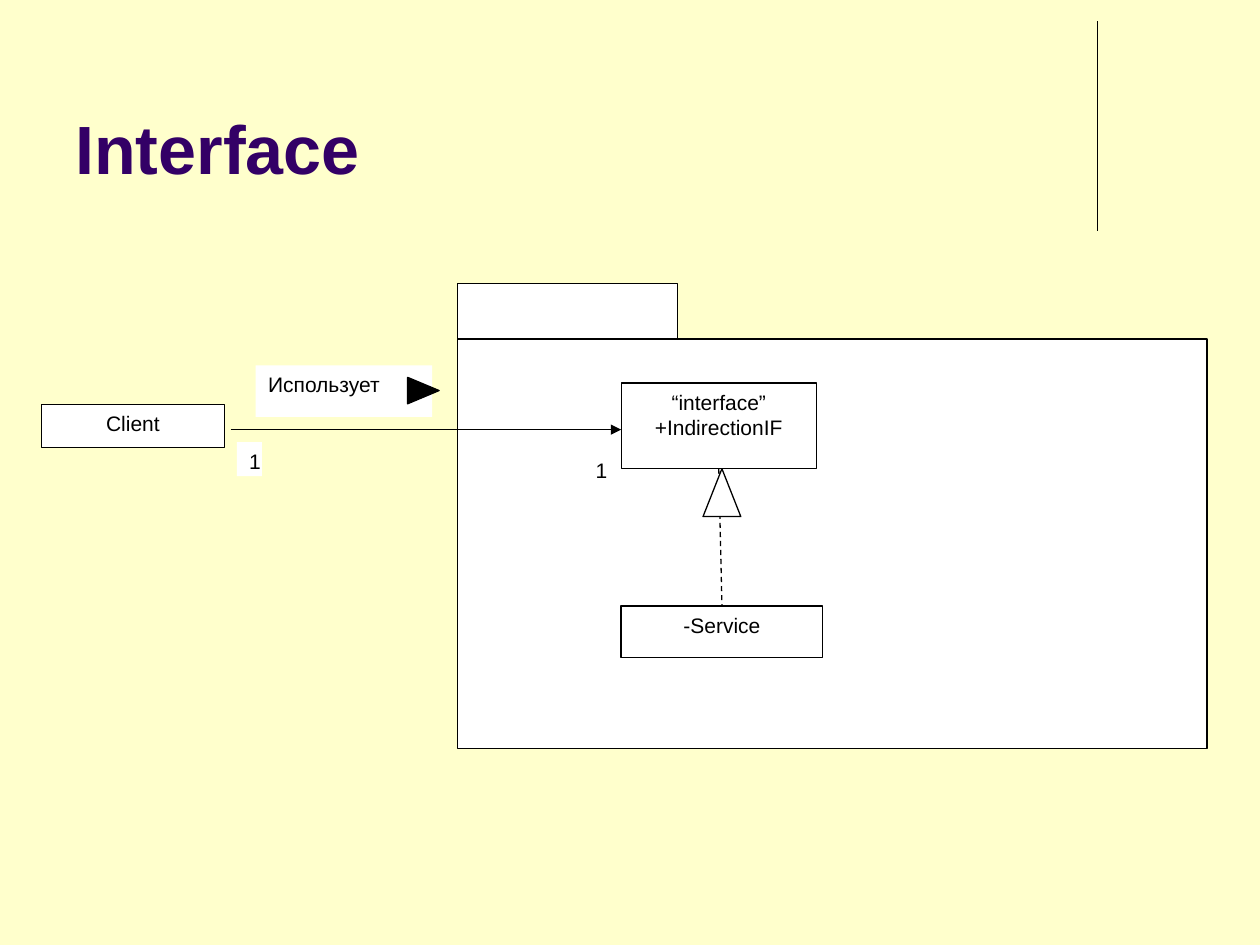
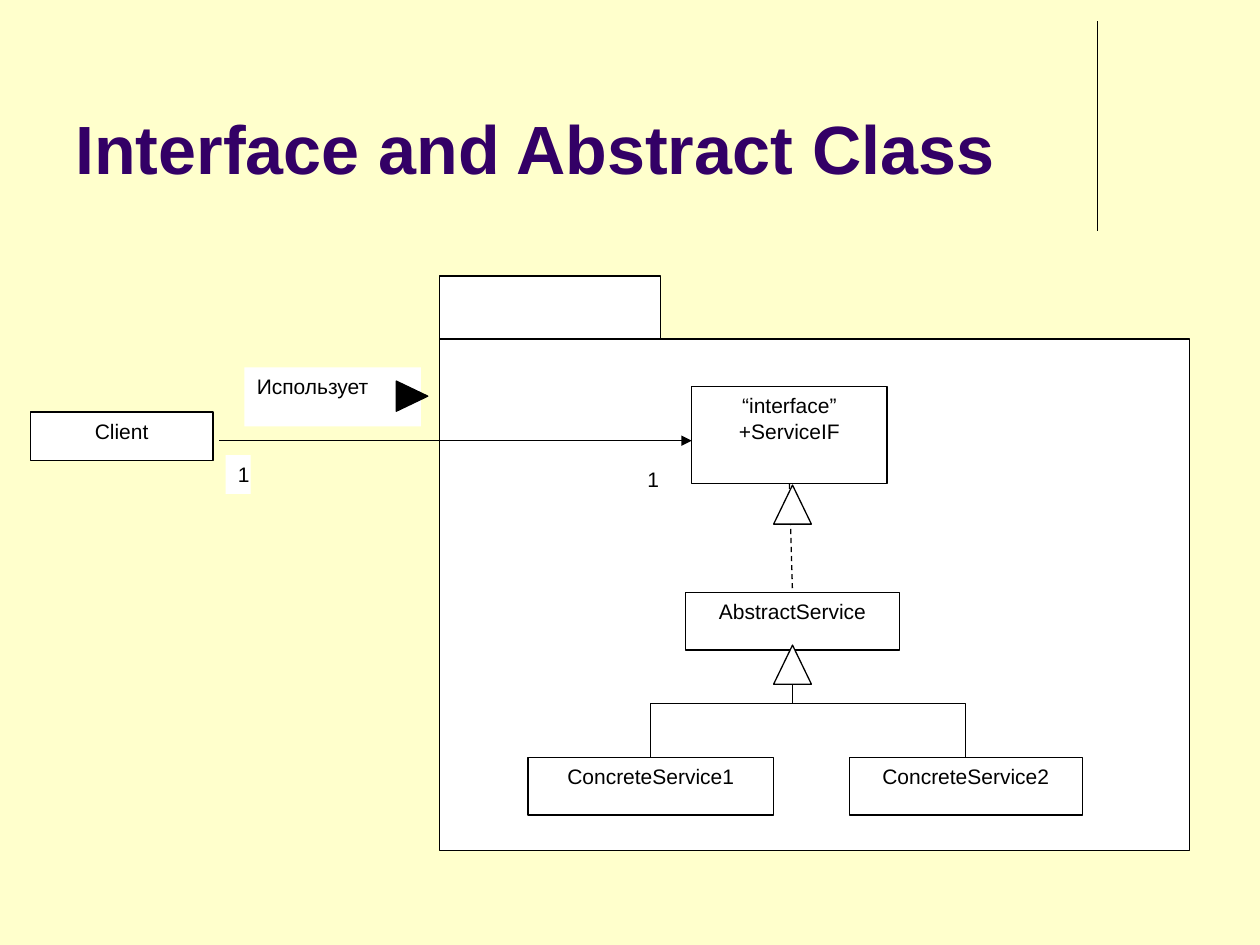
from collections import namedtuple

from lxml import etree
from pptx import Presentation
from pptx.dml.color import RGBColor
from pptx.enum.dml import MSO_LINE
from pptx.enum.shapes import MSO_CONNECTOR, MSO_SHAPE
from pptx.enum.text import MSO_ANCHOR, PP_ALIGN
from pptx.oxml.ns import qn
from pptx.util import Inches, Pt

RECTANGLE = MSO_SHAPE.RECTANGLE
TRIANGLE = MSO_SHAPE.FLOWCHART_EXTRACT
STRAIGHT, ELBOW = MSO_CONNECTOR.STRAIGHT, MSO_CONNECTOR.ELBOW
DASH = MSO_LINE.DASH
TOP, BOTTOM = MSO_ANCHOR.TOP, MSO_ANCHOR.BOTTOM
LEFT, CENTER = PP_ALIGN.LEFT, PP_ALIGN.CENTER
SIDE_TOP, SIDE_BOTTOM = 0, 2

COLORS = {"background": "FFFFCC", "title": "330066", "ink": "000000", "paper": "FFFFFF"}
FONT = "Arial"
LINE_WIDTH = Pt(0.75)
ARROW_WIDTH = 0.3

Box = namedtuple("Box", "left top width height")


def color(name):
    return RGBColor.from_string(COLORS[name])


def write(shape, lines, size=12, ink="ink", bold=False, align=LEFT, anchor=TOP):
    frame = shape.text_frame
    frame.word_wrap = True
    frame.vertical_anchor = anchor
    for index, line in enumerate(lines):
        paragraph = frame.add_paragraph() if index else frame.paragraphs[0]
        paragraph.text = line
        paragraph.alignment = align
        paragraph.font.name = FONT
        paragraph.font.size = Pt(size)
        paragraph.font.bold = bold
        paragraph.font.color.rgb = color(ink)


def add_figure(slide, kind, box, fill="paper", outlined=True):
    shape = slide.shapes.add_shape(kind, *map(Inches, box))
    shape.shadow.inherit = False
    shape.fill.solid()
    shape.fill.fore_color.rgb = color(fill)
    if outlined:
        shape.line.color.rgb = color("ink")
        shape.line.width = LINE_WIDTH
    else:
        shape.line.fill.background()
    return shape


def add_class(slide, box, *lines):
    shape = add_figure(slide, RECTANGLE, box)
    write(shape, lines, align=CENTER)
    return shape


def add_label(slide, box, text):
    label = add_figure(slide, RECTANGLE, box, outlined=False)
    label.text_frame.margin_right = 0
    write(label, [text])


def add_line(slide, start, end, kind=STRAIGHT):
    connector = slide.shapes.add_connector(kind, *map(Inches, start + end))
    connector.line.color.rgb = color("ink")
    connector.line.width = LINE_WIDTH
    etree.SubElement(connector._element.spPr, qn("a:effectLst"))
    return connector


def add_arrow(slide, start, end):
    connector = add_line(slide, start, end)
    etree.SubElement(connector.line._get_or_add_ln(), qn("a:tailEnd"), type="triangle")


def add_hollow_arrowhead(slide, tip_x, tip_y, height):
    box = Box(tip_x - ARROW_WIDTH / 2, tip_y, ARROW_WIDTH, height)
    add_figure(slide, TRIANGLE, box)


def add_realization(slide, interface, implementation, tip, head_height):
    """Join two class shapes with a dashed line and a hollow arrowhead."""
    connector = add_line(slide, (0, 0), (0, 0))
    connector.begin_connect(interface, SIDE_BOTTOM)
    connector.end_connect(implementation, SIDE_TOP)
    connector.line.dash_style = DASH
    add_hollow_arrowhead(slide, *tip, head_height)


def add_riser(slide, child, parent):
    """Draw an elbow up from the top of child to the bottom middle of parent."""
    start_x, end_x = (box.left + box.width / 2 for box in (child, parent))
    start_y, end_y = child.top, parent.top + parent.height
    middle_x, middle_y = (start_x + end_x) / 2, (start_y + end_y) / 2
    half_rise, offset = (start_y - end_y) / 2, start_x - middle_x
    # The elbow is laid out horizontally, then turned a quarter about its middle.
    connector = add_line(slide, (middle_x + half_rise, middle_y - offset),
                         (middle_x - half_rise, middle_y + offset), ELBOW)
    connector._element.spPr.find(qn("a:xfrm")).set("rot", str(90 * 60000))


def add_package(slide, box, tab_height):
    add_figure(slide, RECTANGLE, box)
    add_figure(slide, RECTANGLE, Box(box.left, box.top - tab_height, 1.75, tab_height))


def add_client(slide, left, top, target_x, target_label, stretch=1.0):
    """Draw the client and its association; stretch scales the vertical lengths."""
    def place(x, y, width, height):
        return Box(left + x, top + y * stretch, width, height * stretch)

    add_class(slide, place(0, 0, 1.45, 0.34), "Client")
    line_y = top + 0.2 * stretch
    add_arrow(slide, (left + 1.5, line_y), (target_x, line_y))
    add_label(slide, place(1.55, 0.3, 0.2, 0.27), "1")
    add_label(slide, Box(*target_label, 0.2, 0.27 * stretch), "1")
    add_label(slide, place(1.7, -0.31, 1.4, 0.41), "Использует")
    marker_width, marker_height = 0.21 * stretch, 0.25
    marker = add_figure(slide, TRIANGLE, Box(
        left + 3.03 - marker_width / 2, top - 0.11 * stretch - marker_height / 2,
        marker_width, marker_height), fill="ink")
    marker.rotation = 90


def add_titled_slide(presentation, title):
    slide = presentation.slides.add_slide(presentation.slide_layouts[6])
    slide.background.fill.solid()
    slide.background.fill.fore_color.rgb = color("background")
    add_line(slide, (8.71, 0.17), (8.71, 1.83))
    title_box = slide.shapes.add_textbox(*map(Inches, (0.5, 0.13, 8.25, 1.41)))
    write(title_box, [title], size=39, ink="title", bold=True, anchor=BOTTOM)
    return slide


def build_interface_slide(presentation):
    slide = add_titled_slide(presentation, "Interface")
    add_package(slide, Box(3.63, 2.69, 5.95, 3.25), 0.44)
    interface = add_class(slide, Box(4.93, 3.04, 1.55, 0.68),
                          "“interface”", "+IndirectionIF")
    service = add_class(slide, Box(4.93, 4.81, 1.6, 0.41), "-Service")
    add_realization(slide, interface, service, (5.73, 3.72), 0.38)
    add_client(slide, 0.33, 3.21, target_x=4.93, target_label=(4.63, 3.58))


def build_abstract_class_slide(presentation):
    slide = add_titled_slide(presentation, "Interface and Abstract Class")
    add_package(slide, Box(3.49, 2.69, 5.95, 4.06), 0.5)
    interface = add_class(slide, Box(5.49, 3.07, 1.55, 0.77),
                          "“interface”", "+ServiceIF")
    abstract_box = Box(5.44, 4.7, 1.7, 0.46)
    abstract_service = add_class(slide, abstract_box, "AbstractService")
    add_realization(slide, interface, abstract_service, (6.29, 3.85), 0.31)
    add_client(slide, 0.24, 3.27, target_x=5.49, target_label=(5.04, 3.65), stretch=1.14)
    for number, (left, width) in enumerate([(4.19, 1.95), (6.74, 1.85)], start=1):
        concrete_box = Box(left, 6.01, width, 0.46)
        add_class(slide, concrete_box, f"ConcreteService{number}")
        add_riser(slide, concrete_box, abstract_box)
    add_hollow_arrowhead(slide, 6.29, 5.12, 0.31)


def main():
    presentation = Presentation()
    presentation.slide_width = Inches(10)
    presentation.slide_height = Inches(7.5)
    build_interface_slide(presentation)
    build_abstract_class_slide(presentation)
    presentation.save("out.pptx")


if __name__ == "__main__":
    main()
